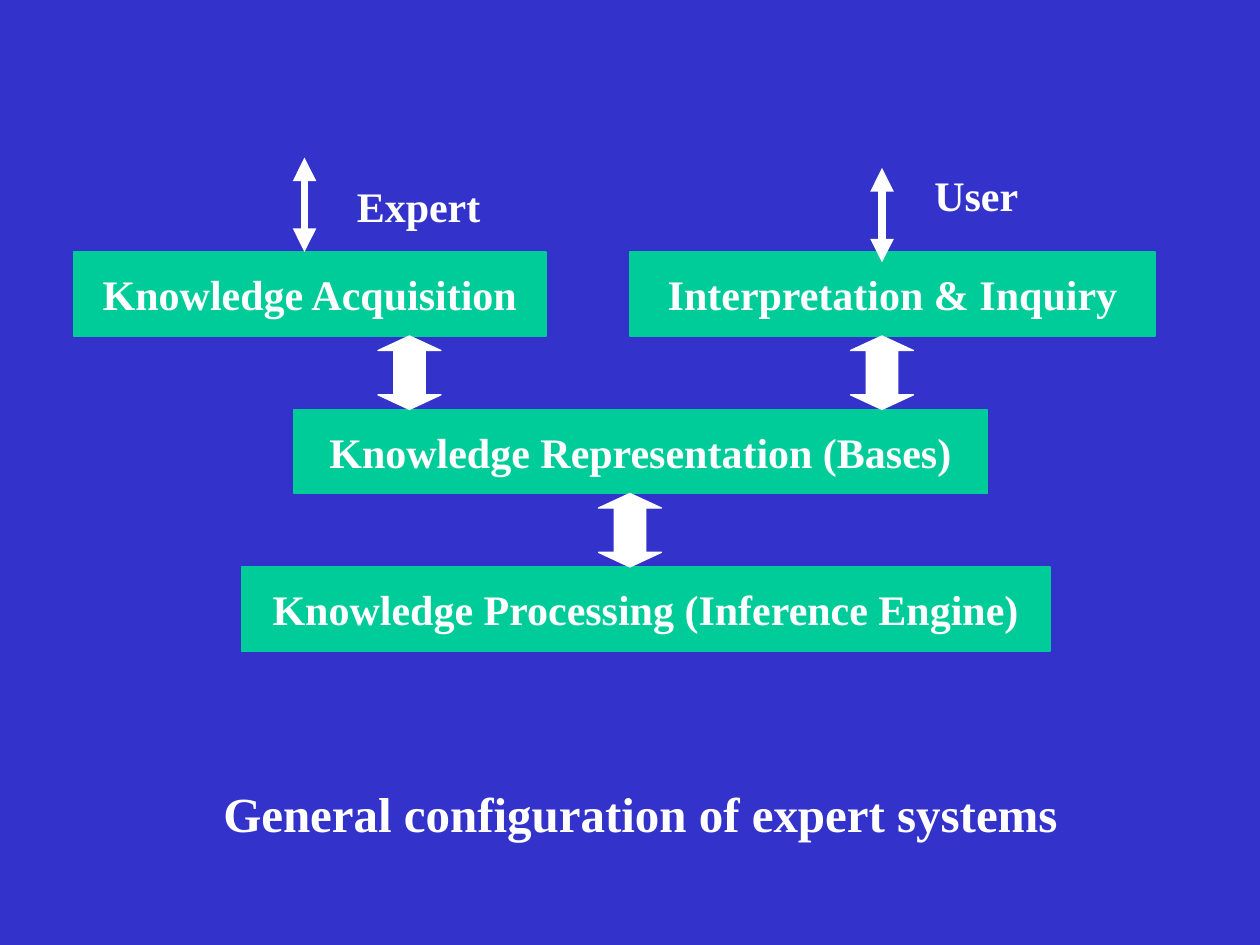
import pptx
import pptx.util
import pptx.dml.color
import pptx.enum.shapes
import pptx.enum.text
import pptx.oxml

Pt = pptx.util.Pt
RGBColor = pptx.dml.color.RGBColor
MSO_SHAPE = pptx.enum.shapes.MSO_SHAPE
BLUE = RGBColor(0x33, 0x33, 0xCC)
GREEN = RGBColor(0x00, 0xCC, 0x99)
WHITE = RGBColor(0xFF, 0xFF, 0xFF)
NS = 'xmlns:a="http://schemas.openxmlformats.org/drawingml/2006/main"'


def add_block(kind, left, top, width, height, color):
    sp = s.shapes.add_shape(kind, Pt(left), Pt(top), Pt(width), Pt(height))
    sp.shadow.inherit = False
    sp.fill.solid()
    sp.fill.fore_color.rgb = color
    sp.line.color.rgb = color
    sp.line.width = Pt(0.75)
    return sp


def write_text(sp, text, size, align):
    tf = sp.text_frame
    tf.word_wrap = False
    tf.text = text
    p = tf.paragraphs[0]
    p.alignment = align
    r = p.runs[0]
    r.font.name = "Times New Roman"
    r.font.size = Pt(size)
    r.font.bold = True
    r.font.color.rgb = WHITE


prs = pptx.Presentation()
prs.slide_width = Pt(720)
prs.slide_height = Pt(540)
s = prs.slides.add_slide(prs.slide_layouts[6])
s.background.fill.solid()
s.background.fill.fore_color.rgb = BLUE

for text, left, top, width in [
    ("Knowledge Acquisition", 42, 144, 270),
    ("Interpretation & Inquiry", 360, 144, 300),
    ("Knowledge Representation (Bases)", 168, 234, 396),
    ("Knowledge Processing (Inference Engine)", 138, 324, 462),
]:
    sp = add_block(MSO_SHAPE.RECTANGLE, left, top, width, 48, GREEN)
    sp.text_frame.vertical_anchor = pptx.enum.text.MSO_ANCHOR.MIDDLE
    write_text(sp, text, 24, pptx.enum.text.PP_ALIGN.CENTER)

for left, top in [(216, 192), (486, 192), (342, 282)]:
    sp = add_block(MSO_SHAPE.UP_DOWN_ARROW, left, top, 36, 42, WHITE)
    for guide in sp._element.spPr.prstGeom.avLst:
        guide.getparent().remove(guide)
    for name, value in [("adj1", 50000), ("adj2", 23200)]:
        sp._element.spPr.prstGeom.avLst.append(
            pptx.oxml.parse_xml(f'<a:gd {NS} name="{name}" fmla="val {value}"/>')
        )

for x, top in [(174, 90), (504, 96)]:
    sp = s.shapes.add_connector(
        pptx.enum.shapes.MSO_CONNECTOR.STRAIGHT, Pt(x), Pt(top), Pt(x), Pt(top + 54)
    )
    sp.line.color.rgb = WHITE
    sp.line.width = Pt(4.5)
    ln = sp.line._get_or_add_ln()
    for end in ("headEnd", "tailEnd"):
        ln.append(pptx.oxml.parse_xml(f'<a:{end} {NS} type="triangle"/>'))
    sp._element.spPr.append(pptx.oxml.parse_xml(f"<a:effectLst {NS}/>"))

for text, left, top, width, height, size in [
    ("Expert", 196.8, 99.6, 85, 36, 24),
    ("User", 526.8, 93.6, 63, 36, 24),
    ("General configuration of expert systems", 120.5, 444, 491, 41, 28),
]:
    sp = s.shapes.add_textbox(Pt(left), Pt(top), Pt(width), Pt(height))
    write_text(sp, text, size, pptx.enum.text.PP_ALIGN.LEFT)
    sp.text_frame.auto_size = pptx.enum.text.MSO_AUTO_SIZE.SHAPE_TO_FIT_TEXT

prs.save("out.pptx")
